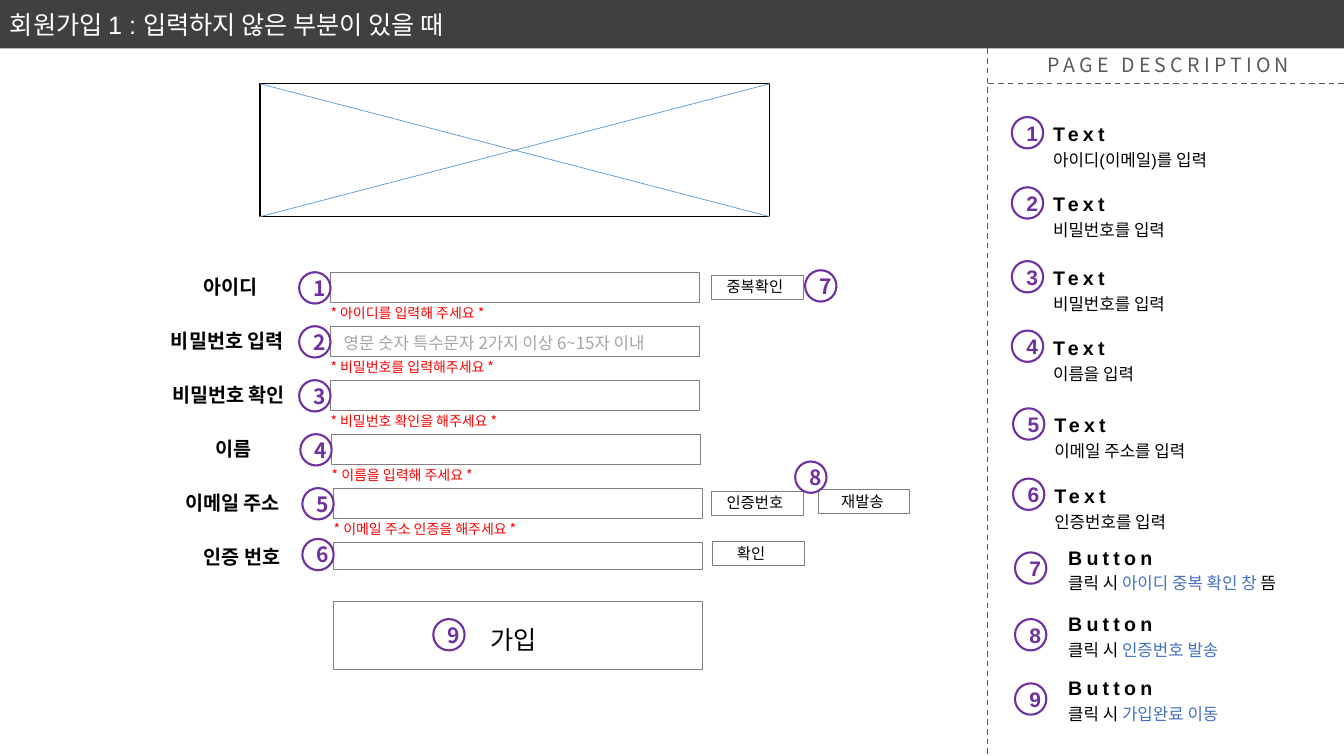
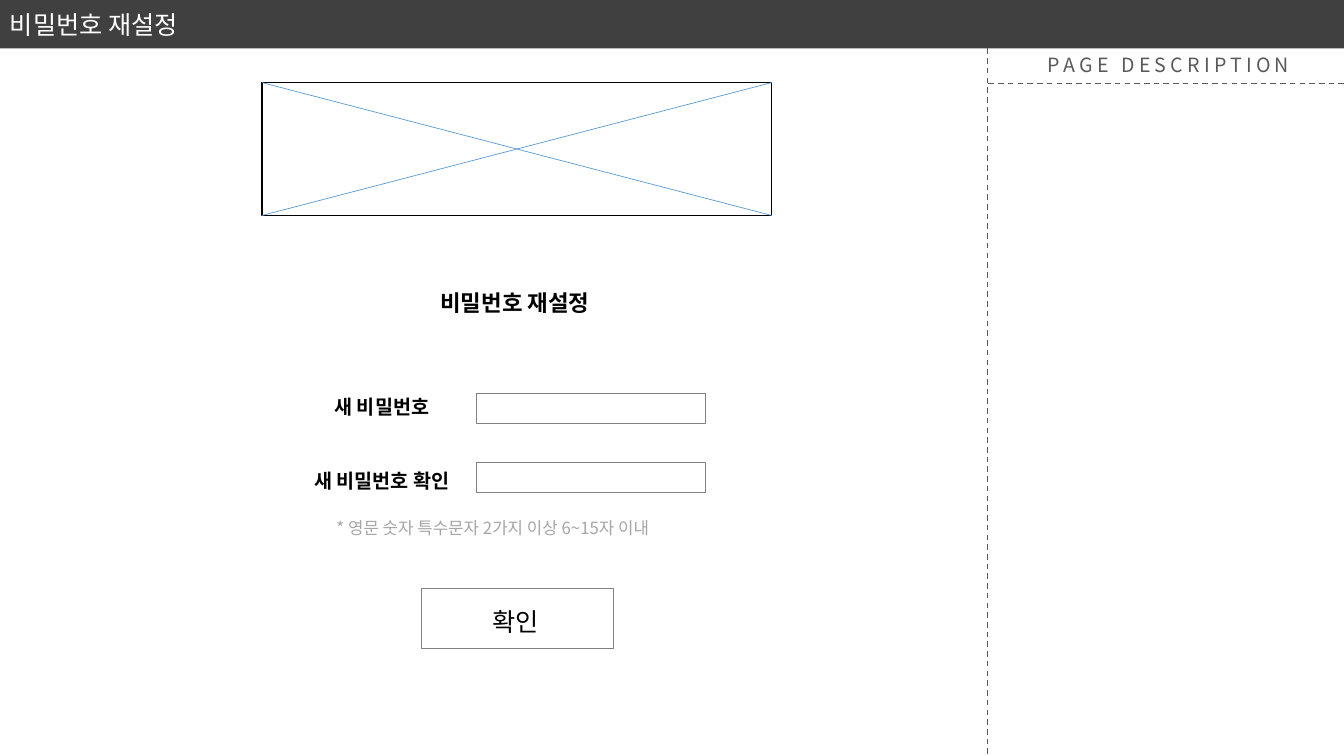
from lxml.etree import SubElement
from pptx import Presentation
from pptx.dml.color import RGBColor
from pptx.enum.dml import MSO_LINE
from pptx.enum.shapes import MSO_CONNECTOR, MSO_SHAPE
from pptx.enum.text import MSO_ANCHOR, MSO_AUTO_SIZE, PP_ALIGN
from pptx.oxml.ns import qn
from pptx.util import Cm, Pt

WHITE = RGBColor(0xFF, 0xFF, 0xFF)
BLACK = RGBColor(0x00, 0x00, 0x00)
DARK = RGBColor(0x40, 0x40, 0x40)
SLATE = RGBColor(0x59, 0x59, 0x59)
GRAY = RGBColor(0x80, 0x80, 0x80)
PALE = RGBColor(0xA6, 0xA6, 0xA6)
PURPLE = RGBColor(0x70, 0x30, 0xA0)
BLUE = RGBColor(0x44, 0x72, 0xC4)
SKY = RGBColor(0x5B, 0x9B, 0xD5)
RED = RGBColor(0xFF, 0x00, 0x00)

ARIAL = "Arial"
NOTO = "Noto Sans CJK KR"
WIDE, HIGH = 33.87, 19.05
BAND = 1.22
SIDE = 24.89
RULE = 2.11
DOT = 0.79
STEP = 1.36
HINT = "영문 숫자 특수문자 2가지 이상 6~15자 이내"

FIELDS = [
    ("아이디", 0.82, 4.27, "* 아이디를 입력해 주세요 *"),
    ("비밀번호 입력", 0, 4.27, "* 비밀번호를 입력해주세요 *"),
    ("비밀번호 확인", 0.03, 4.27, "* 비밀번호 확인을 해주세요 *"),
    ("이름", 1.12, 4.3, "* 이름을 입력해 주세요 *"),
    ("이메일 주소", 0.36, 4.35, "* 이메일 주소 인증을 해주세요 *"),
    ("인증 번호", 0.82, 4.35, None),
]
BUTTONS = [
    ("중복확인", 13.87, 0.07, 0.13),
    ("인증번호", 13.87, 5.51, 0.13),
    ("재발송", 16.56, 5.48, 0.33),
    ("확인", 13.9, 6.78, 0.36),
]
MARKS = [(13.0 + 3.23, -0.05), (15.98, 4.77), (6.86, 8.74)]
INPUTS = [
    (0.61, 2.95, "아이디(이메일)를 입력"),
    (0.61, 4.72, "비밀번호를 입력"),
    (0.61, 6.58, "비밀번호를 입력"),
    (0.61, 8.33, "이름을 입력"),
    (0.64, 10.29, "이메일 주소를 입력"),
    (0.64, 12.06, "인증번호를 입력"),
]
CLICKS = [
    (13.92, ["클릭 시 ", "아이디 중복 확인 창 ", "뜸"]),
    (15.6, ["클릭 시 ", "인증번호 발송"]),
    (17.22, ["클릭 시 ", "가입완료 이동"]),
]


def style(run, size, color, face=NOTO, bold=False, gap=0):
    """Format one run, with its East Asian face and letter spacing."""
    font = run.font
    font.size, font.bold, font.name = Pt(size), bold, face
    font.color.rgb = color
    props = run._r.get_or_add_rPr()
    SubElement(props, qn("a:ea")).set("typeface", NOTO)
    if gap:
        props.set("spc", str(gap * 100))


def label(pad, x, y, w, text, size, color=BLACK, **look):
    """Place a line of text and return its paragraph."""
    frame = pad.add_textbox(Cm(x), Cm(y), Cm(w), Cm(0.75)).text_frame
    frame.word_wrap = True
    frame.auto_size = MSO_AUTO_SIZE.SHAPE_TO_FIT_TEXT
    line = frame.paragraphs[0]
    line.text = text
    style(line.runs[0], size, color, **look)
    return line


def shape(pad, kind, x, y, w, h, fill=None, edge=None, thick=0.5):
    """Place a flat preset shape."""
    item = pad.add_shape(kind, Cm(x), Cm(y), Cm(w), Cm(h))
    item.shadow.inherit = False
    if fill is None:
        item.fill.background()
    else:
        item.fill.solid()
        item.fill.fore_color.rgb = fill
    if edge is None:
        item.line.fill.background()
    else:
        item.line.color.rgb = edge
        item.line.width = Pt(thick)
    return item


def box(pad, x, y, w, h, edge=GRAY, thick=0.5):
    """Place an outlined rectangle."""
    return shape(pad, MSO_SHAPE.RECTANGLE, x, y, w, h, None, edge, thick)


def rule(pad, x1, y1, x2, y2, color, thick, dash=None):
    """Draw a straight line."""
    line = pad.add_connector(MSO_CONNECTOR.STRAIGHT, Cm(x1), Cm(y1), Cm(x2), Cm(y2))
    line.line.color.rgb = color
    line.line.width = Pt(thick)
    if dash:
        line.line.dash_style = dash
    SubElement(line._element.spPr, qn("a:effectLst"))


def badge(pad, x, y, num, face=NOTO):
    """Place a numbered circle."""
    dot = shape(pad, MSO_SHAPE.OVAL, x, y, DOT, DOT, WHITE, PURPLE, 1.5)
    dot.text_frame.vertical_anchor = MSO_ANCHOR.MIDDLE
    line = dot.text_frame.paragraphs[0]
    line.text = str(num)
    line.alignment = PP_ALIGN.CENTER
    style(line.runs[0], 15, PURPLE, face, True)


def frame(deck, title):
    """Add a slide with title band and side panel, and return its shapes."""
    pad = deck.slides.add_slide(deck.slide_layouts[6]).shapes
    band = shape(pad, MSO_SHAPE.RECTANGLE, 0, 0, WIDE, BAND, DARK)
    band.text_frame.vertical_anchor = MSO_ANCHOR.MIDDLE
    line = band.text_frame.paragraphs[0]
    line.text = title
    line.alignment = PP_ALIGN.LEFT
    style(line.runs[0], 18, WHITE, ARIAL)
    rule(pad, SIDE, BAND, SIDE, HIGH, SLATE, 1, MSO_LINE.DASH)
    label(pad, SIDE + 1.27, BAND, 6.93, "PAGE DESCRIPTION", 14, SLATE, gap=3)
    rule(pad, WIDE, RULE, SIDE, RULE, SLATE, 1, MSO_LINE.DASH)
    return pad


def banner(pad, x, y, w=12.85, h=3.35):
    """Draw the crossed box that stands for a banner."""
    box(pad, x, y, w, h, BLACK, 1)
    rule(pad, x, y, x + w, y + h, SKY, 0.5)
    rule(pad, x, y + h, x + w, y, SKY, 0.5)


def form(pad, x, y):
    """Place the sign-up form with its fields, errors and buttons."""
    for i, (name, shift, left, error) in enumerate(FIELDS):
        top, edge = y + i * STEP, x + left
        label(pad, x + shift, top - 0.05, 3.84, name, 14, bold=True)
        box(pad, edge, top, 9.3, 0.76 if error else 0.69)
        if error:
            label(pad, edge - 0.25, top + 0.7, 9.1, error, 10, RED)
        badge(pad, edge - DOT, top if error else top - 0.08, i + 1)
    label(pad, x + 4.35, y + STEP + 0.05, 9.55, HINT, 12, PALE)
    for name, left, top, inset in BUTTONS:
        group = pad.add_group_shape().shapes
        box(group, x + left, y + top, 2.31, 0.61)
        label(group, x + left + inset, y + top - 0.06, 2.1, name, 11)
    box(pad, x + 4.35, y + 8.3, 9.3, 1.7)
    label(pad, x + 8.06, y + 8.74, 5, "가입", 18)
    for num, (left, top) in enumerate(MARKS, 7):
        badge(pad, x + left, y + top, num)


def note(pad, x, y, head, parts, w):
    """Place a spaced heading over a line whose second part is blue."""
    label(pad, x, y, 3.5, head, 14, face=ARIAL, bold=True, gap=3)
    line = label(pad, x, y + 0.7, w, parts[0], 12, face=ARIAL)
    for part, color in zip(parts[1:], (BLUE, BLACK)):
        run = line.add_run()
        run.text = part
        style(run, 12, color, ARIAL)


def legend(pad, x):
    """List the numbered notes in the side panel."""
    for num, (left, top, text) in enumerate(INPUTS, 1):
        badge(pad, x + left, top, num, ARIAL)
        note(pad, x + left + DOT, top, "Text", [text], 4.75)
    for num, (top, parts) in enumerate(CLICKS, len(INPUTS) + 1):
        badge(pad, x + 0.69, top, num, ARIAL)
        note(pad, x + 1.78, top - 0.3, "Button", parts, 7.15)


def reset(pad, x, y):
    """Place the new-password form."""
    label(pad, x + 3.18, y, 5.87, "비밀번호 재설정", 16, bold=True)
    rows = [("새 비밀번호", 0.51, -0.08), ("새 비밀번호 확인", 0, 0.05)]
    for i, (name, shift, drop) in enumerate(rows):
        top = y + 2.75 + i * 1.73
        box(pad, x + 4.34, top, 5.77, 0.76)
        label(pad, x + shift, top + drop, 4.65, name, 14, bold=True)
    label(pad, x + 0.56, y + 5.77, 9.55, "* " + HINT, 12, PALE)
    box(pad, x + 2.95, y + 7.67, 4.83, 1.5)
    label(pad, x + 4.5, y + 8, 3, "확인", 18)


def main():
    """Build and save the deck."""
    deck = Presentation()
    deck.slide_width, deck.slide_height = Cm(WIDE), Cm(HIGH)
    pad = frame(deck, "회원가입 1 : 입력하지 않은 부분이 있을 때")
    banner(pad, 6.55, 2.11)
    form(pad, 4.06, 6.86)
    legend(pad, SIDE)
    pad = frame(deck, "비밀번호 재설정")
    banner(pad, 6.6, 2.08)
    reset(pad, 7.67, 7.16)
    deck.save("out.pptx")


if __name__ == "__main__":
    main()
